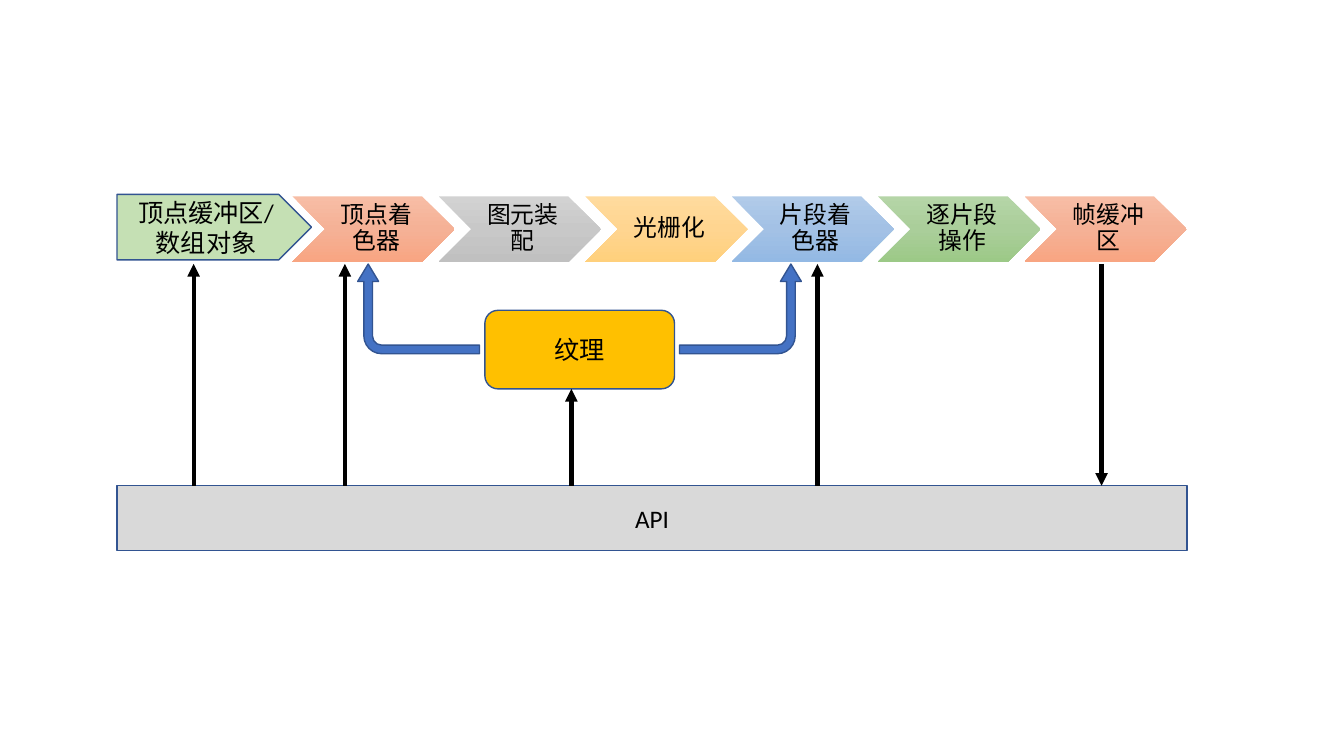
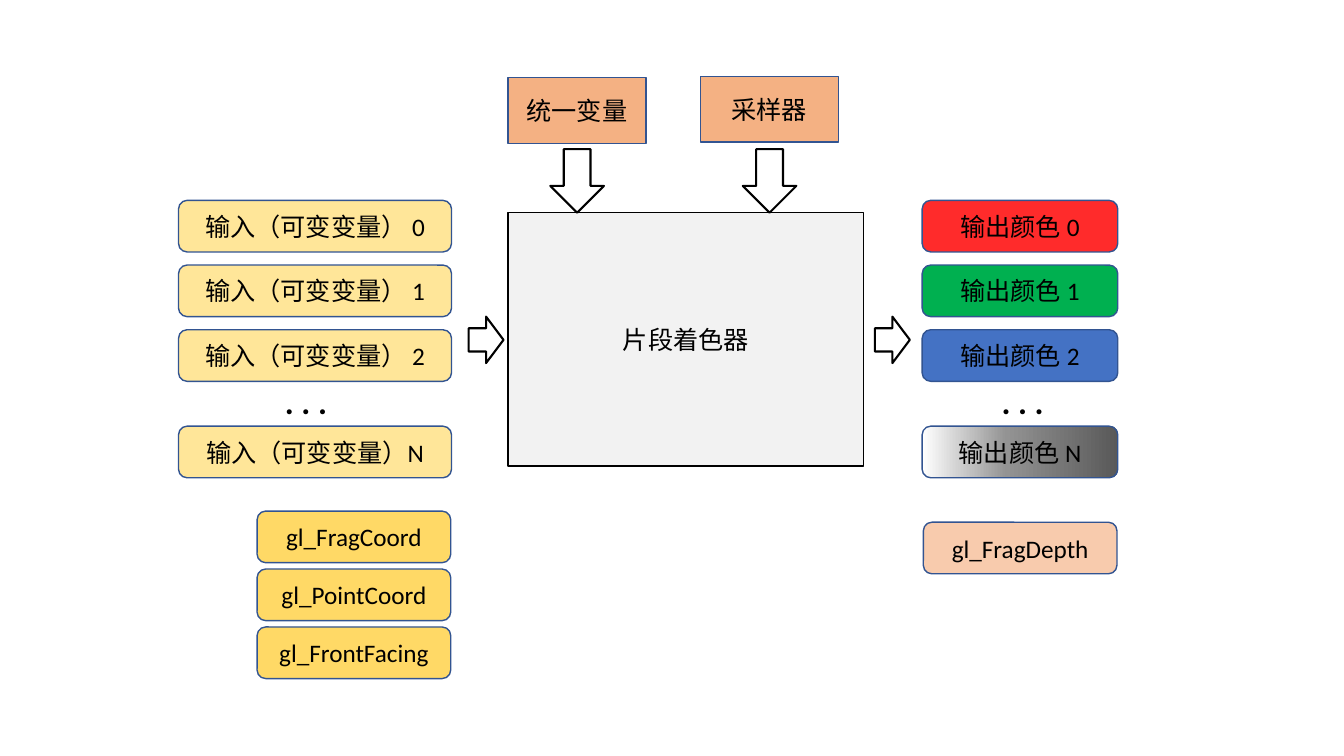
"""Build two diagram slides: the graphics pipeline and the fragment shader."""
from dataclasses import dataclass
from typing import Optional, Union

from lxml.etree import SubElement
from pptx import Presentation
from pptx.dml.color import RGBColor
from pptx.enum.shapes import MSO_CONNECTOR, MSO_SHAPE
from pptx.enum.text import MSO_ANCHOR, PP_ALIGN
from pptx.oxml.ns import qn
from pptx.util import Cm, Pt


@dataclass(frozen=True)
class Gradient:
    """Describe a linear gradient by (percent, colour) stops."""
    stops: tuple[tuple[int, str], ...]
    angle: int = 90


@dataclass(frozen=True)
class Translucent:
    """Describe a solid colour with its opacity in percent."""
    colour: str
    opacity: int


Paint = Union[str, Gradient, Translucent, None]


def vertical(top: str, middle: str, bottom: str) -> Gradient:
    """Return a three-stop gradient running downwards."""
    return Gradient(((0, top), (50, middle), (100, bottom)))


@dataclass(frozen=True)
class Theme:
    """Hold the colours, font and sizes that both slides share."""
    font: str = "Calibri"
    body: float = 18
    stage: float = 17
    dots: float = 24
    ink: str = "000000"
    outline: str = "325491"
    thin: float = 1
    arrow: float = 1.5
    thick: float = 3
    buffer: str = "C5E0B4"
    texture: str = "FFC000"
    blue: str = "4472C4"
    green: str = "00B050"
    red: Translucent = Translucent("FF0000", 83)
    api: str = "D9D9D9"
    shader: str = "F2F2F2"
    uniform: str = "F4B183"
    varying: str = "FFE699"
    builtin: str = "FFD966"
    depth: str = "F8CBAD"
    fade: Gradient = Gradient(((0, "FFFFFF"), (43, "939393"), (100, "595959")), 0)
    orange_stage: Gradient = vertical("F7BDA5", "F5B196", "F8A582")
    grey_stage: Gradient = vertical("D2D2D2", "C8C8C8", "C0C0C0")
    yellow_stage: Gradient = vertical("FFDB9E", "FFD590", "FFD07C")
    blue_stage: Gradient = vertical("B1CBE9", "A3C1E5", "93B9E4")
    green_stage: Gradient = vertical("B5D5A7", "AACE9A", "9CC987")


THEME = Theme()


@dataclass(frozen=True)
class Area:
    """Give a rectangle in centimetres."""
    left: float
    top: float
    width: float
    height: float

    def lengths(self) -> tuple[Cm, Cm, Cm, Cm]:
        """Return the four values as lengths."""
        return Cm(self.left), Cm(self.top), Cm(self.width), Cm(self.height)


@dataclass(frozen=True)
class Node:
    """Describe a labelled box."""
    area: Area
    label: str
    fill: Paint
    kind: MSO_SHAPE = MSO_SHAPE.ROUNDED_RECTANGLE
    line: str = THEME.outline
    adjustments: tuple[float, ...] = ()


@dataclass(frozen=True)
class Stage:
    """Describe one chevron of the pipeline."""
    label: str
    fill: Gradient


@dataclass(frozen=True)
class Link:
    """Describe a vertical arrow."""
    x: float
    start: float
    end: float


def paint(shape, fill: Paint) -> None:
    """Fill a shape with a colour, a gradient or nothing."""
    if fill is None:
        shape.fill.background()
    elif isinstance(fill, Gradient):
        shape.fill.gradient()
        gradient = shape._element.spPr.find(qn("a:gradFill"))
        stop_list = gradient.find(qn("a:gsLst"))
        for old_stop in list(stop_list):
            stop_list.remove(old_stop)
        for percent, colour in fill.stops:
            stop = SubElement(stop_list, qn("a:gs"), pos=str(percent * 1000))
            SubElement(stop, qn("a:srgbClr"), val=colour)
        gradient.find(qn("a:lin")).set("ang", str(fill.angle * 60000))
    else:
        solid = isinstance(fill, Translucent)
        shape.fill.solid()
        shape.fill.fore_color.rgb = RGBColor.from_string(fill.colour if solid else fill)
        if solid:
            colour = shape._element.spPr.find(f"{qn('a:solidFill')}/{qn('a:srgbClr')}")
            SubElement(colour, qn("a:alpha"), val=str(fill.opacity * 1000))


def write(shape, text: str, *, size: float = THEME.body, bold: bool = False,
          align: PP_ALIGN = PP_ALIGN.CENTER, anchor: MSO_ANCHOR = MSO_ANCHOR.MIDDLE,
          spacing: Optional[float] = None,
          insets: tuple[float, float, float, float] = (0.25, 0.13, 0.25, 0.13)) -> None:
    """Write formatted text, one paragraph a line, into a shape."""
    frame = shape.text_frame
    frame.word_wrap = True
    frame.vertical_anchor = anchor
    frame.margin_left, frame.margin_top, frame.margin_right, frame.margin_bottom = map(Cm, insets)
    frame.text = text
    for paragraph in frame.paragraphs:
        paragraph.alignment = align
        paragraph.line_spacing = spacing
        font = paragraph.runs[0].font
        font.name, font.size, font.bold = THEME.font, Pt(size), bold
        font.color.rgb = RGBColor.from_string(THEME.ink)


def add_figure(slide, kind: MSO_SHAPE, area: Area, fill: Paint, *,
               line: Optional[str] = THEME.outline, weight: float = THEME.thin,
               adjustments: tuple[float, ...] = ()):
    """Add a preset shape without shadow."""
    shape = slide.shapes.add_shape(kind, *area.lengths())
    shape.shadow.inherit = False
    paint(shape, fill)
    if line is None:
        shape.line.fill.background()
    else:
        shape.line.color.rgb = RGBColor.from_string(line)
        shape.line.width = Pt(weight)
    for index, value in enumerate(adjustments):
        shape.adjustments[index] = value
    return shape


def add_node(slide, node: Node) -> None:
    """Add a labelled box."""
    shape = add_figure(slide, node.kind, node.area, node.fill,
                       line=node.line, adjustments=node.adjustments)
    write(shape, node.label)


def add_stage(slide, stage: Stage, left: float) -> None:
    """Add a pipeline chevron with its label."""
    add_figure(slide, MSO_SHAPE.CHEVRON, Area(left, 4.95, 4.09, 1.65), stage.fill, line=None)
    label = slide.shapes.add_textbox(*Area(left + 0.82, 4.95, 2.46, 1.65).lengths())
    write(label, stage.label, size=THEME.stage, spacing=0.9, insets=(0.18, 0.05, 0.05, 0.05))


def add_elbow(slide, left: float, rotation: int, flips: tuple[str, ...]) -> None:
    """Add a bent block arrow that ends upwards."""
    shape = add_figure(slide, MSO_SHAPE.BENT_ARROW, Area(left, 6.25, 2.26, 3.07), THEME.blue,
                       adjustments=(0.096, 0.117, 0.194, 0.199))
    shape.rotation = rotation
    for flip in flips:
        shape._element.spPr.xfrm.set(flip, "1")


def add_link(slide, link: Link) -> None:
    """Add a thick vertical line with an arrowhead at its end."""
    connector = slide.shapes.add_connector(
        MSO_CONNECTOR.STRAIGHT, Cm(link.x), Cm(link.start), Cm(link.x), Cm(link.end))
    connector.line.color.rgb = RGBColor.from_string(THEME.ink)
    connector.line.width = Pt(THEME.thick)
    SubElement(connector.line._get_or_add_ln(), qn("a:tailEnd"), type="triangle")
    SubElement(connector._element.spPr, qn("a:effectLst"))


def add_dots(slide, left: float) -> None:
    """Add the ellipsis between numbered boxes."""
    box = slide.shapes.add_textbox(*Area(left, 9.47, 2.8, 1.27).lengths())
    write(box, ". . .", size=THEME.dots, bold=True, align=PP_ALIGN.LEFT, anchor=MSO_ANCHOR.TOP)


def build_pipeline(slide) -> None:
    """Draw the graphics pipeline and its API."""
    stages = (
        Stage("顶点着色器", THEME.orange_stage),
        Stage("图元装配", THEME.grey_stage),
        Stage("光栅化", THEME.yellow_stage),
        Stage("片段着色器", THEME.blue_stage),
        Stage("逐片段操作", THEME.green_stage),
        Stage("帧缓冲区", THEME.orange_stage),
    )
    for index, stage in enumerate(stages):
        add_stage(slide, stage, 7.37 + index * 3.69)
    api_top, stage_bottom, texture_bottom = 12.24, 6.65, 9.8
    nodes = (
        Node(Area(2.95, 4.9, 4.9, 1.65), "顶点缓冲区/\n数组对象", THEME.buffer, MSO_SHAPE.PENTAGON),
        Node(Area(12.22, 7.82, 4.78, 1.98), "纹理", THEME.texture),
        Node(Area(2.95, api_top, 26.97, 1.63), "API", THEME.api, MSO_SHAPE.RECTANGLE),
    )
    for node in nodes:
        add_node(slide, node)
    add_elbow(slide, 17.53, 270, ("flipV",))
    add_elbow(slide, 9.42, 90, ("flipH", "flipV"))
    for x in (4.88, 8.69, 20.6):
        add_link(slide, Link(x, api_top, stage_bottom))
    add_link(slide, Link(14.4, api_top, texture_bottom))
    add_link(slide, Link(27.76, stage_bottom, api_top))


def build_fragment_shader(slide) -> None:
    """Draw the fragment shader with its inputs and outputs."""
    row_height = 1.3
    rows = tuple(zip(("0", "1", "2", "N"), (5.05, 6.68, 8.31, 10.74),
                     (THEME.red, THEME.green, THEME.blue, THEME.fade)))
    nodes = [
        Node(Area(12.8, 5.36, 8.97, 6.38), "片段着色器", THEME.shader, MSO_SHAPE.RECTANGLE, THEME.ink),
        Node(Area(12.8, 1.96, 3.48, 1.65), "统一变量", THEME.uniform, adjustments=(0,)),
        Node(Area(17.65, 1.93, 3.48, 1.65), "采样器", THEME.uniform, adjustments=(0,)),
        Node(Area(23.27, 13.16, 4.88, row_height), "gl_FragDepth", THEME.depth),
    ]
    for number, top, colour in rows:
        gap = "" if number == "N" else " "
        nodes.append(Node(Area(4.5, top, 6.88, row_height),
                          f"输入（可变变量）{gap}{number}", THEME.varying))
        nodes.append(Node(Area(23.24, top, 4.93, row_height), f"输出颜色 {number}", colour))
    for index, name in enumerate(("gl_FragCoord", "gl_PointCoord", "gl_FrontFacing")):
        nodes.append(Node(Area(6.48, 12.88 + index * 1.46, 4.88, row_height), name, THEME.builtin))
    for node in nodes:
        add_node(slide, node)
    for left in (6.93, 24.99):
        add_dots(slide, left)
    arrows = (
        *((MSO_SHAPE.DOWN_ARROW, Area(left, 3.76, 1.35, 1.6)) for left in (13.87, 18.72)),
        *((MSO_SHAPE.RIGHT_ARROW, Area(left, 7.98, 0.88, 1.17)) for left in (11.81, 22.05)),
    )
    for kind, area in arrows:
        add_figure(slide, kind, area, None, line=THEME.ink, weight=THEME.arrow)


def main() -> None:
    """Create and save the presentation."""
    presentation = Presentation()
    presentation.slide_width, presentation.slide_height = Cm(33.87), Cm(19.05)
    blank_layout = presentation.slide_layouts[6]
    for build in (build_pipeline, build_fragment_shader):
        build(presentation.slides.add_slide(blank_layout))
    presentation.save("out.pptx")


main()
